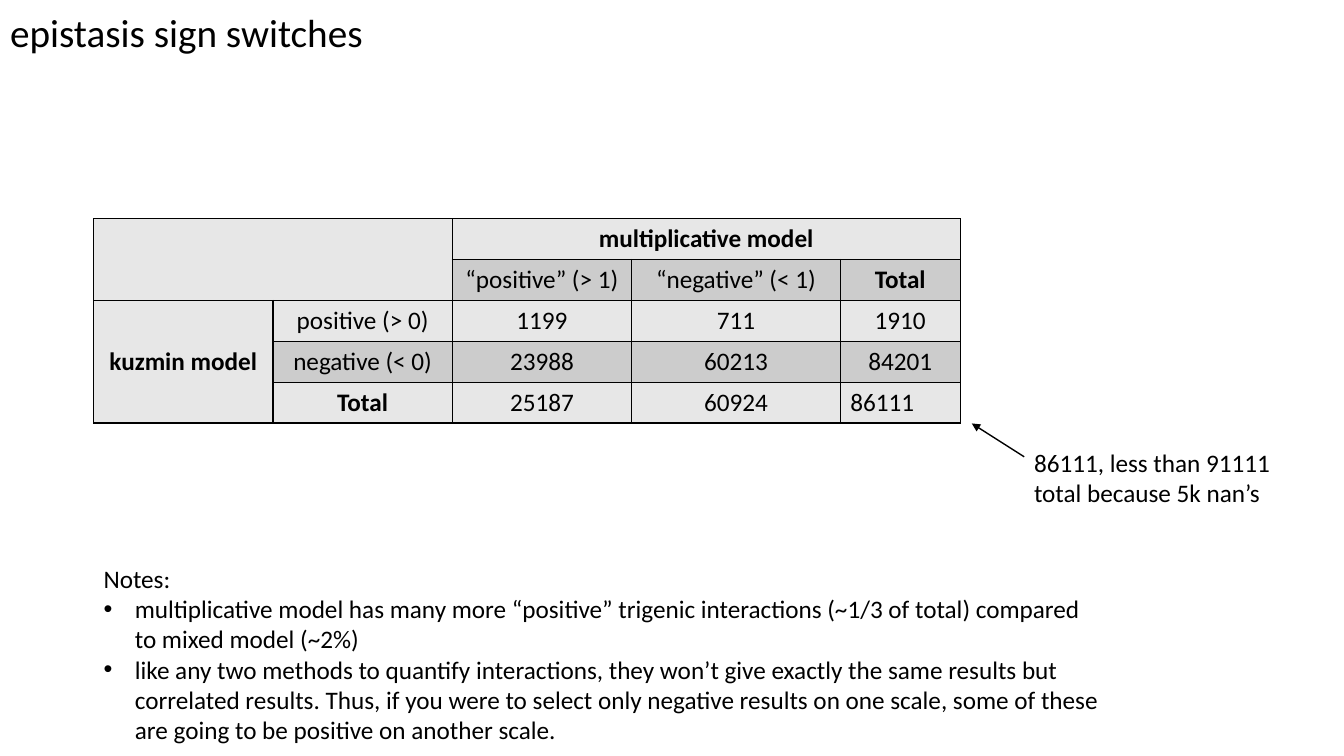
from dataclasses import dataclass

from lxml.etree import SubElement
from pptx import Presentation
from pptx.dml.color import RGBColor
from pptx.enum.shapes import MSO_CONNECTOR as Connector
from pptx.enum.text import MSO_ANCHOR as Anchor, MSO_AUTO_SIZE as AutoSize, PP_ALIGN as Align
from pptx.oxml.ns import qn
from pptx.util import Cm, Pt


@dataclass(frozen=True)
class Theme:
    font: str = "Calibri"
    ink: str = "000000"
    light: str = "E7E7E7"
    dark: str = "CCCCCC"
    title_size: int = 28
    body_size: int = 18
    line_width: int = 1


theme = Theme()


def write(para, text, size=theme.body_size, bold=False, align=Align.LEFT):
    para.alignment = align
    span = para.add_run()
    span.text = text
    for name, value in {"name": theme.font, "size": Pt(size), "bold": bold}.items():
        setattr(span.font, name, value)
    span.font.color.rgb = RGBColor.from_string(theme.ink)


def add_text(page, left, top, width, height, lines):
    box = page.shapes.add_textbox(Cm(left), Cm(top), Cm(width), Cm(height))
    frame = box.text_frame
    for name, value in {"word_wrap": True, "auto_size": AutoSize.SHAPE_TO_FIT_TEXT}.items():
        setattr(frame, name, value)
    for index, line in enumerate(lines):
        write(frame.add_paragraph() if index else frame.paragraphs[0], line)
    return frame


deck = Presentation()
deck.slide_width, deck.slide_height = Cm(33.87), Cm(19.05)
page = deck.slides.add_slide(deck.slide_layouts[5])

# Title
title = page.shapes.title
for name, value in {"left": 0, "top": 0.08, "width": 9.5, "height": 1.45}.items():
    setattr(title, name, Cm(value))
title_format = {"word_wrap": False, "auto_size": AutoSize.SHAPE_TO_FIT_TEXT,
                "vertical_anchor": Anchor.TOP}
for name, value in title_format.items():
    setattr(title.text_frame, name, value)
write(title.text_frame.paragraphs[0], "epistasis sign switches", theme.title_size)

# Contingency table
rows = [
    ["", "", "multiplicative model", "", ""],
    ["", "", "“positive” (> 1)", "“negative” (< 1)", "Total"],
    ["kuzmin model", "positive (> 0)", "1199", "711", "1910"],
    ["", "negative (< 0)", "23988", "60213", "84201"],
    ["", "Total", "25187", "60924", "86111"],
]
column_widths = [4.52, 4.52, 4.52, 5.26, 3.02]
row_height = 1.03
bold_labels = {"multiplicative model", "kuzmin model", "Total"}
grand_total = rows[-1][-1]

table = page.shapes.add_table(
    len(rows), len(column_widths), Cm(2.36), Cm(5.51),
    Cm(sum(column_widths)), Cm(row_height * len(rows))).table
for name in ("first_row", "horz_banding"):
    setattr(table, name, False)
for column, width in zip(table.columns, column_widths):
    column.width = Cm(width)

for row_index, texts in enumerate(rows):
    table.rows[row_index].height = Cm(row_height)
    for column_index, text in enumerate(texts):
        cell = table.cell(row_index, column_index)
        if text:
            align = Align.LEFT if text == grand_total else Align.CENTER
            write(cell.text_frame.paragraphs[0], text, bold=text in bold_labels, align=align)
        # Borders come before the fill in the cell properties
        properties = cell._tc.get_or_add_tcPr()
        for side in ("a:lnL", "a:lnR", "a:lnT", "a:lnB"):
            border = SubElement(properties, qn(side), w=str(Pt(theme.line_width)))
            SubElement(SubElement(border, qn("a:solidFill")), qn("a:srgbClr"), val=theme.ink)
        shaded = row_index % 2 == 1 and (column_index > 1 or (row_index, column_index) == (3, 1))
        cell.fill.solid()
        cell.fill.fore_color.rgb = RGBColor.from_string(theme.dark if shaded else theme.light)

for first, last in [((0, 0), (1, 1)), ((0, 2), (0, 4)), ((2, 0), (4, 0))]:
    table.cell(*first).merge(table.cell(*last))
table.cell(2, 0).vertical_anchor = Anchor.MIDDLE

# Notes with bullets
notes = add_text(page, 2.36, 14.07, 25.63, 4.88, [
    "Notes:",
    "multiplicative model has many more “positive” trigenic interactions (~1/3 of total) "
    "compared to mixed model (~2%)",
    "like any two methods to quantify interactions, they won’t give exactly the same results "
    "but correlated results. Thus, if you were to select only negative results on one scale, "
    "some of these are going to be positive on another scale.",
])
for para in notes.paragraphs[1:]:
    properties = para._p.get_or_add_pPr()
    for name, value in {"marL": Cm(0.79), "indent": -Cm(0.79)}.items():
        properties.set(name, str(value))
    SubElement(properties, qn("a:buFont"), typeface="Arial")
    SubElement(properties, qn("a:buChar"), char="•")

# Remark on the grand total, with its arrow
add_text(page, 25.81, 11.15, 6.93, 1.8, ["86111, less than 91111 total because 5k nan’s"])
arrow = page.shapes.add_connector(
    Connector.STRAIGHT, Cm(25.81), Cm(11.51), Cm(24.49), Cm(10.67))
arrow.line.width = Pt(theme.line_width)
arrow.line.color.rgb = RGBColor.from_string(theme.ink)
SubElement(arrow.line._get_or_add_ln(), qn("a:tailEnd"), type="triangle")
SubElement(arrow._element.spPr, qn("a:effectLst"))

deck.save("out.pptx")
